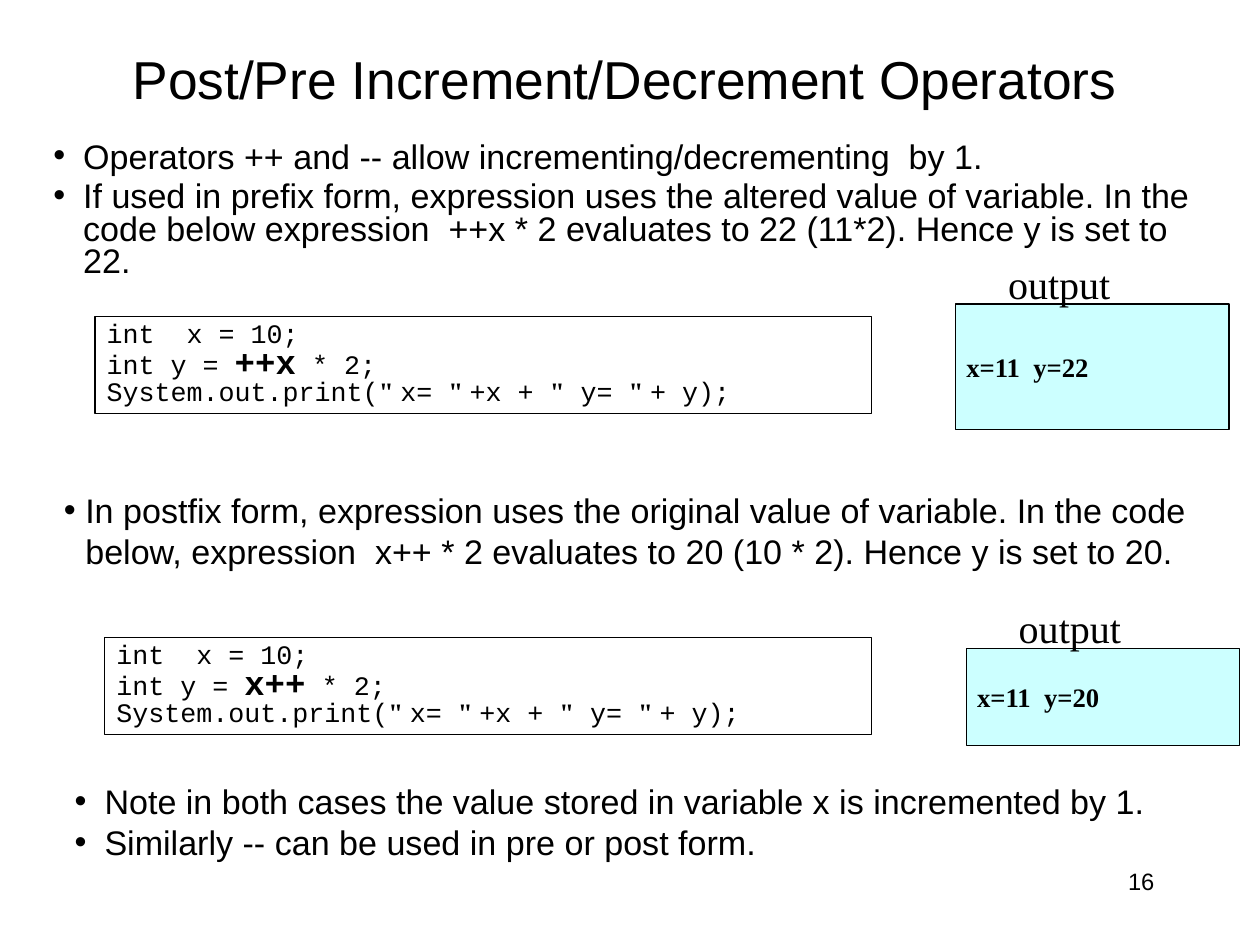
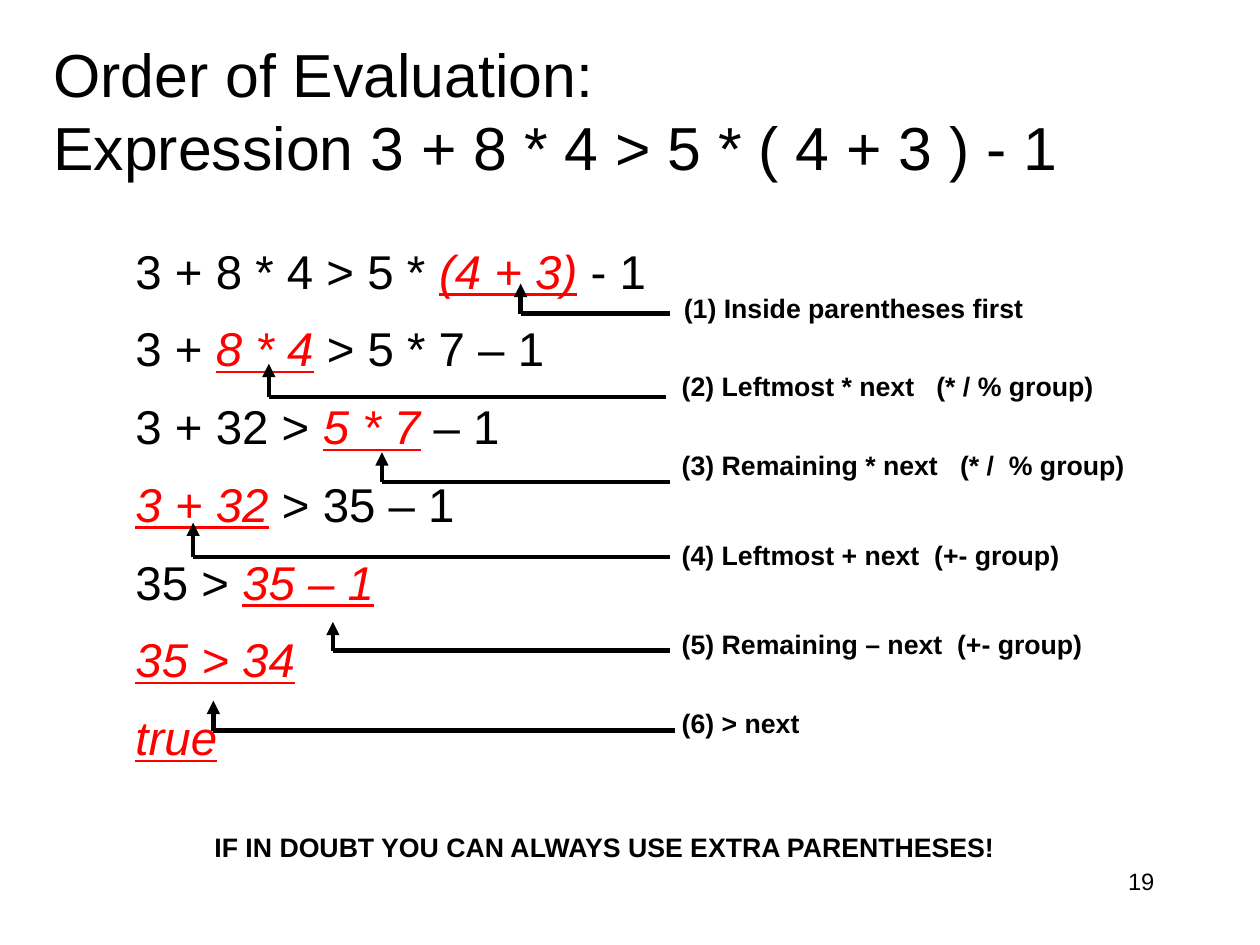
import pptx
import pptx.util
import pptx.dml.color
import pptx.enum.text
import pptx.enum.shapes
import pptx.oxml.ns
from lxml import etree

Inches = pptx.util.Inches
Pt = pptx.util.Pt
RGBColor = pptx.dml.color.RGBColor
Align = pptx.enum.text.PP_ALIGN
Anchor = pptx.enum.text.MSO_ANCHOR
qn = pptx.oxml.ns.qn

BLACK = RGBColor(0, 0, 0)
RED = RGBColor(255, 0, 0)
WHITE = RGBColor(255, 255, 255)
CYAN = RGBColor(0xCC, 0xFF, 0xFF)
SANS, SERIF, MONO = "Arial", "Times New Roman", "Courier New"
WIDE, PLAIN = (0.11, 0.06), (0.1, 0.05)
MARK = {"color": RED, "italic": True, "underline": True}
QUOTE = {"name": SERIF, "bold": True}


class Deck:
    def __init__(self, width, height):
        self.prs = pptx.Presentation()
        self.prs.slide_width = Inches(width)
        self.prs.slide_height = Inches(height)

    def slide(self, title, at, size, number, align=Align.LEFT):
        self.s = self.prs.slides.add_slide(self.prs.slide_layouts[5])
        self.s.background.fill.solid()
        self.s.background.fill.fore_color.rgb = WHITE
        sp = self.s.shapes.title
        sp.left, sp.top, sp.width, sp.height = map(Inches, at)
        self.fill_text(sp, [title], {"size": Pt(size)}, align=align,
                       anchor=Anchor.MIDDLE)
        self.text((8.47, 8.07, 2.46, 0.59), [number], {"size": Pt(16)},
                  align=Align.RIGHT)

    def fill_text(self, sp, paras, fmt, inset=WIDE, align=Align.LEFT,
                  anchor=Anchor.TOP, spacing=None, before=0, indent=0):
        tf = sp.text_frame
        x, y = map(Inches, inset)
        frame = {"word_wrap": True, "vertical_anchor": anchor,
                 "auto_size": pptx.enum.text.MSO_AUTO_SIZE.NONE,
                 "margin_left": x, "margin_right": x,
                 "margin_top": y, "margin_bottom": y}
        for key, value in frame.items():
            setattr(tf, key, value)
        for i, para in enumerate(paras):
            p = tf.add_paragraph() if i else tf.paragraphs[0]
            p.alignment = align
            p.line_spacing = spacing
            self.format_paragraph(p, before, indent)
            for run in [(para, {})] if isinstance(para, str) else para:
                self.add_run(p, *run, fmt)

    def format_paragraph(self, p, before, indent):
        pPr = p._p.get_or_add_pPr()
        if before:
            gap = etree.SubElement(pPr, qn("a:spcBef"))
            etree.SubElement(gap, qn("a:spcPct"), val=str(before * 1000))
        if indent:
            pPr.set("marL", str(Inches(indent)))
            pPr.set("indent", str(-Inches(indent)))
            etree.SubElement(pPr, qn("a:buFont"), typeface=SANS)
            etree.SubElement(pPr, qn("a:buChar"), char="•")

    def add_run(self, p, text, extra, fmt):
        font = {"name": SANS, "color": BLACK, **fmt, **extra}
        color = font.pop("color")
        for i, line in enumerate(text.split("\n")):
            if i:
                p.add_line_break()
            r = p.add_run()
            r.text = line
            r.font.color.rgb = color
            for key, value in font.items():
                setattr(r.font, key, value)

    def text(self, at, paras, fmt, into=None, **layout):
        sp = (into or self.s).shapes.add_textbox(*map(Inches, at))
        self.fill_text(sp, paras, fmt, **layout)

    def box(self, at, paras, fmt, fill=None, into=None, **layout):
        sp = (into or self.s).shapes.add_shape(
            pptx.enum.shapes.MSO_SHAPE.RECTANGLE, *map(Inches, at))
        sp.shadow.inherit = False
        if fill is None:
            sp.fill.background()
        else:
            sp.fill.solid()
            sp.fill.fore_color.rgb = fill
        sp.line.color.rgb = BLACK
        sp.line.width = Pt(0.75)
        self.fill_text(sp, paras, fmt, **layout)

    def code(self, at, operand):
        lines = ["int  x = 10;",
                 [("int y = ", {}), (operand, {"size": Pt(23), "bold": True}),
                  (" * 2;", {})],
                 [("System.out.print(", {}), ('" ', QUOTE), ("x= ", {}),
                  ('" ', QUOTE), ("+x + ", {}), ('"', QUOTE), (" y= ", {}),
                  ('" ', QUOTE), ("+ y);", {})]]
        self.box(at, lines, {"name": MONO, "size": Pt(18)}, spacing=0.8)

    def output(self, left, top, height, result):
        group = self.s.shapes.add_group_shape()
        self.box((left, top, 2.56, height), [result],
                 {"name": SERIF, "size": Pt(18), "bold": True}, fill=CYAN,
                 into=group, inset=PLAIN, anchor=Anchor.MIDDLE)
        self.text((left + 0.39, top - 0.47, 1.48, 0.56), ["output"],
                  {"name": SERIF, "size": Pt(27)}, into=group, inset=PLAIN)

    def line(self, x1, y1, x2, y2, arrow=False):
        c = self.s.shapes.add_connector(
            pptx.enum.shapes.MSO_CONNECTOR.STRAIGHT,
            *map(Inches, (x1, y1, x2, y2)))
        c.line.color.rgb = BLACK
        c.line.width = Pt(3)
        if arrow:
            etree.SubElement(c.line._get_or_add_ln(), qn("a:headEnd"),
                             type="triangle")
        etree.SubElement(c._element.spPr, qn("a:effectLst"))


deck = Deck(11.81, 8.86)
body = {"size": Pt(23)}
bold = {"size": Pt(18), "bold": True}

deck.slide("Post/Pre Increment/Decrement Operators",
           (0.39, 0.39, 10.93, 0.69), 36, "16", Align.CENTER)
deck.text((0.39, 1.28, 11.03, 1.67), [
    "Operators ++ and -- allow incrementing/decrementing  by 1.",
    "If used in prefix form, expression uses the altered value of variable. "
    "In the code below expression  ++x * 2 evaluates to 22 (11*2). "
    "Hence y is set to 22."], body, spacing=0.8, before=20, indent=0.28)
deck.code((0.89, 2.97, 7.28, 0.91), "++x")
deck.output(8.96, 2.85, 1.18, "x=11  y=22")
deck.text((0.49, 4.53, 10.93, 0.91), [
    "In postfix form, expression uses the original value of variable. "
    "In the code below, expression  x++ * 2 evaluates to 20 (10 * 2). "
    "Hence y is set to 20."], body, indent=0.2)
deck.code((0.98, 5.98, 7.19, 0.91), "x++")
deck.output(9.06, 6.08, 0.91, "x=11  y=20")
deck.text((0.59, 7.26, 10.63, 0.89), [
    "Note in both cases the value stored in variable x is incremented by 1.",
    "Similarly -- can be used in pre or post form."], body, indent=0.28)

deck.slide("Order of Evaluation: \nExpression 3 + 8 * 4 > 5 * ( 4 + 3 ) - 1",
           (0.39, 0.49, 11.12, 1.08), 41, "19")
deck.text((1.16, 2.1, 9.48, 5.74), [
    [("3 + 8 * 4 > 5 * ", {}), ("(4 + 3)", MARK), (" - 1", {})],
    [("3 + ", {}), ("8 * 4", MARK), (" > 5 * 7 – 1", {})],
    [("3 + 32 > ", {}), ("5 * 7", MARK), (" – 1", {})],
    [("3 + 32", MARK), (" > 35 – 1", {})],
    [("35 > ", {}), ("35 – 1", MARK)],
    [("35 > 34", MARK)],
    [("true", MARK)]], {"size": Pt(32)}, spacing=1.2, before=20)

steps = [
    (4.88, 2.66, 2.94, 6.28, 6.3, 2.68, "(1) Inside parentheses first"),
    (2.52, 3.41, 3.72, 6.24, 6.28, 3.41, "(2) Leftmost * next   (* / % group)"),
    (3.58, 4.24, 4.52, 6.28, 6.28, 4.15, "(3) Remaining * next   (* /  % group)"),
    (1.81, 4.9, 5.22, 6.28, 6.28, 4.99, "(4) Leftmost + next  (+- group)"),
    (3.12, 5.83, 6.1, 6.28, 6.28, 5.83, "(5) Remaining – next  (+- group)"),
    (2, 6.57, 6.85, 6.33, 6.28, 6.57, "(6) > next"),
]
for x, tip, y, end, left, top, label in steps:
    deck.line(x, tip, x, y, arrow=True)
    deck.line(x, y, end, y)
    deck.text((left, top, 5.32, 0.42), [label], bold)
deck.text((0.39, 7.74, 10.55, 0.4),
          ["IF IN DOUBT YOU CAN ALWAYS USE EXTRA PARENTHESES!"], bold,
          inset=PLAIN, align=Align.CENTER)

deck.prs.save("out.pptx")
